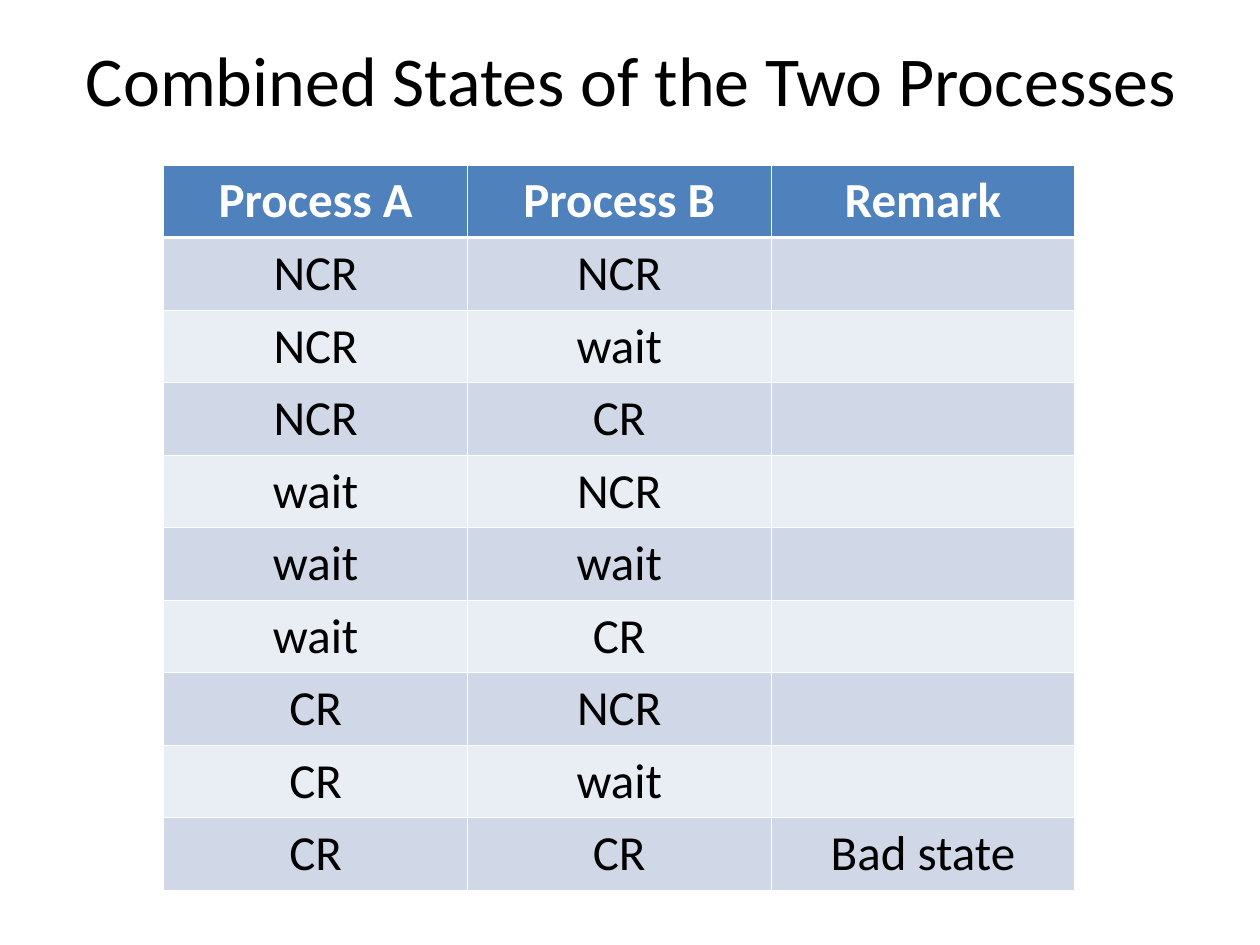
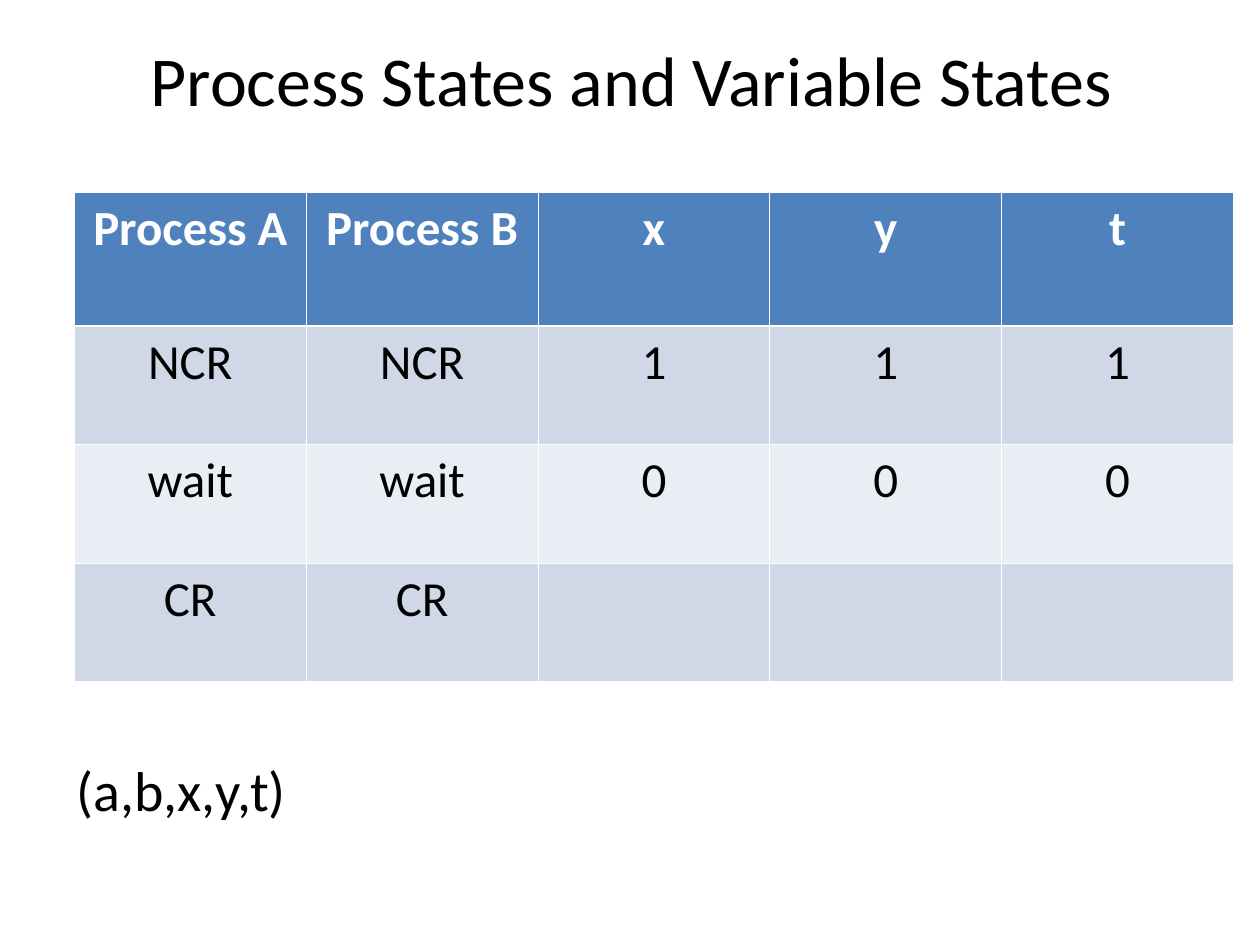
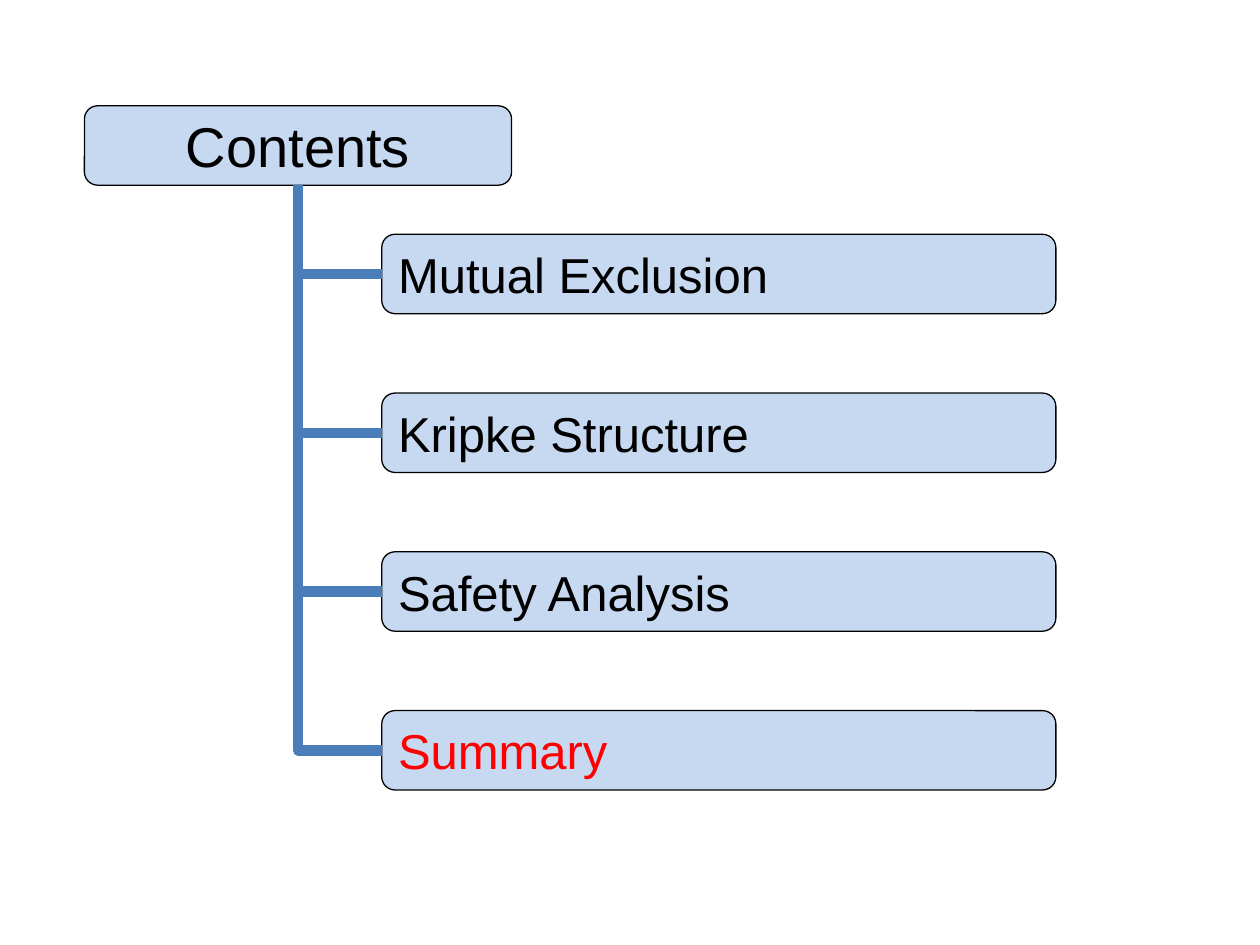
from lxml.etree import SubElement
from pptx import Presentation
from pptx.dml.color import RGBColor
from pptx.enum.shapes import MSO_CONNECTOR, MSO_SHAPE
from pptx.enum.text import MSO_ANCHOR, PP_ALIGN
from pptx.oxml.ns import qn
from pptx.util import Inches, Pt

COLORS = {
    "text": "000000",
    "header": "4F81BD",
    "band_dark": "D0D8E8",
    "band_light": "E9EDF4",
    "white": "FFFFFF",
    "box": "C6D9F1",
    "link": "4A7EBB",
    "current": "FF0000",
}
TITLE_BOX = (0.51, 0, 9, 1.25)
THIN, THICK = 0.45, 1.47
TITLE_ONLY, BLANK = 5, 6


def rgb(name):
    return RGBColor.from_string(COLORS[name])


def write(frame, text, size=28, font="Calibri", color="text", bold=False,
          align=PP_ALIGN.LEFT, anchor=MSO_ANCHOR.TOP, wrap=True, before=0):
    frame.word_wrap = wrap
    frame.vertical_anchor = anchor
    paragraph = frame.paragraphs[0]
    paragraph.alignment = align
    paragraph.space_before = Pt(before)
    run = paragraph.add_run()
    run.text = text
    run.font.size = Pt(size)
    run.font.name = font
    run.font.bold = bold
    run.font.color.rgb = rgb(color)


def add_titled_slide(deck, text):
    slide = deck.slides.add_slide(deck.slide_layouts[TITLE_ONLY])
    title = slide.shapes.title
    title.left, title.top, title.width, title.height = map(Inches, TITLE_BOX)
    write(title.text_frame, text, size=40, align=PP_ALIGN.CENTER,
          anchor=MSO_ANCHOR.MIDDLE)
    return slide


def set_borders(cell, **widths):
    properties = cell._tc.get_or_add_tcPr()
    for side in "LRTB":
        line = SubElement(properties, qn(f"a:ln{side}"),
                          w=str(Pt(widths.get(side, THIN))))
        fill = SubElement(line, qn("a:solidFill"))
        SubElement(fill, qn("a:srgbClr"), val=COLORS["white"])


def add_state_table(slide, left, top, column_width, row_heights, rows):
    columns = len(rows[0])
    table = slide.shapes.add_table(
        len(rows), columns, Inches(left), Inches(top),
        Inches(column_width * columns), Inches(sum(row_heights))).table
    for column in table.columns:
        column.width = Inches(column_width)
    for r, values in enumerate(rows):
        table.rows[r].height = Inches(row_heights[r])
        is_header = r == 0
        band = "header" if is_header else "band_dark" if r % 2 else "band_light"
        for c, value in enumerate(values):
            cell = table.cell(r, c)
            set_borders(cell, T=THICK if r == 1 else THIN,
                        B=THICK if is_header else THIN)
            cell.fill.solid()
            cell.fill.fore_color.rgb = rgb(band)
            if value:
                write(cell.text_frame, value, bold=is_header,
                      color="white" if is_header else "text",
                      align=PP_ALIGN.CENTER)


def combined_states_slide(deck):
    slide = add_titled_slide(deck, "Combined States of the Two Processes")
    states = ["NCR", "wait", "CR"]
    rows = [["Process A", "Process B", "Remark"]]
    rows += [[a, b, "Bad state" if a == b == "CR" else ""]
             for a in states for b in states]
    add_state_table(slide, 1.3, 1.31, 2.41, [0.57] * len(rows), rows)


def variable_states_slide(deck):
    slide = add_titled_slide(deck, "Process States and Variable States")
    rows = [
        ["Process A", "Process B", "x", "y", "t"],
        ["NCR", "NCR", "1", "1", "1"],
        ["wait", "wait", "0", "0", "0"],
        ["CR", "CR", "", "", ""],
    ]
    add_state_table(slide, 0.59, 1.53, 1.84, [1.06, 0.94, 0.94, 0.94], rows)
    state_tuple = slide.shapes.add_textbox(*map(Inches, (0.51, 5.95, 9, 0.74)))
    write(state_tuple.text_frame, "(a,b,x,y,t)", size=32, before=8)


def add_content_box(slide, left, top, width, height, text, **text_format):
    box = slide.shapes.add_shape(MSO_SHAPE.FLOWCHART_ALTERNATE_PROCESS,
                                 *map(Inches, (left, top, width, height)))
    box.shadow.inherit = False
    box.fill.solid()
    box.fill.fore_color.rgb = rgb("box")
    box.line.color.rgb = rgb("text")
    box.line.width = Pt(0.75)
    write(box.text_frame, text, font="Arial", anchor=MSO_ANCHOR.MIDDLE,
          wrap=False, **text_format)
    return box


def add_link(slide, kind, *ends):
    link = slide.shapes.add_connector(kind, *map(Inches, ends))
    link.line.color.rgb = rgb("link")
    link.line.width = Pt(6)
    SubElement(link._element.spPr, qn("a:effectLst"))
    return link


def add_trunk(slide, x, top, right, bottom):
    """Run down from (x, top), then turn right to (right, bottom)."""
    center_x, center_y = (x + right) / 2, (top + bottom) / 2
    half_run, half_turn = (bottom - top) / 2, (right - x) / 2
    trunk = add_link(slide, MSO_CONNECTOR.ELBOW,
                     center_x + half_run, center_y - half_turn,
                     center_x - half_run, center_y + half_turn)
    properties = trunk._element.spPr
    properties.find(qn("a:prstGeom")).set("prst", "bentConnector2")
    properties.find(qn("a:xfrm")).set("rot", str(270 * 60000))


def contents_slide(deck):
    slide = deck.slides.add_slide(deck.slide_layouts[BLANK])
    topics = ["Mutual Exclusion", "Kripke Structure", "Safety Analysis", "Summary"]
    current = "Summary"
    left, first_top, step, height = 3.03, 1.86, 1.26, 0.63
    root_left, root_top, root_width = 0.67, 0.84, 3.39
    trunk_x = root_left + root_width / 2

    # Root and topics
    add_content_box(slide, root_left, root_top, root_width, height, "Contents",
                    size=32, align=PP_ALIGN.CENTER)
    tops = [first_top + i * step for i in range(len(topics))]
    boxes = [add_content_box(slide, left, top, 5.35, height, topic,
                             color="current" if topic == current else "text")
             for top, topic in zip(tops, topics)]

    # Trunk to the last topic, branches to the others
    add_trunk(slide, trunk_x, root_top + height, left, tops[-1] + height / 2)
    for top, box in zip(tops[:-1], boxes):
        middle = top + height / 2
        branch = add_link(slide, MSO_CONNECTOR.STRAIGHT,
                          trunk_x, middle, left, middle)
        branch.end_connect(box, 1)


def main():
    deck = Presentation()
    deck.slide_width, deck.slide_height = Inches(10), Inches(7.5)
    combined_states_slide(deck)
    variable_states_slide(deck)
    contents_slide(deck)
    deck.save("out.pptx")


if __name__ == "__main__":
    main()
